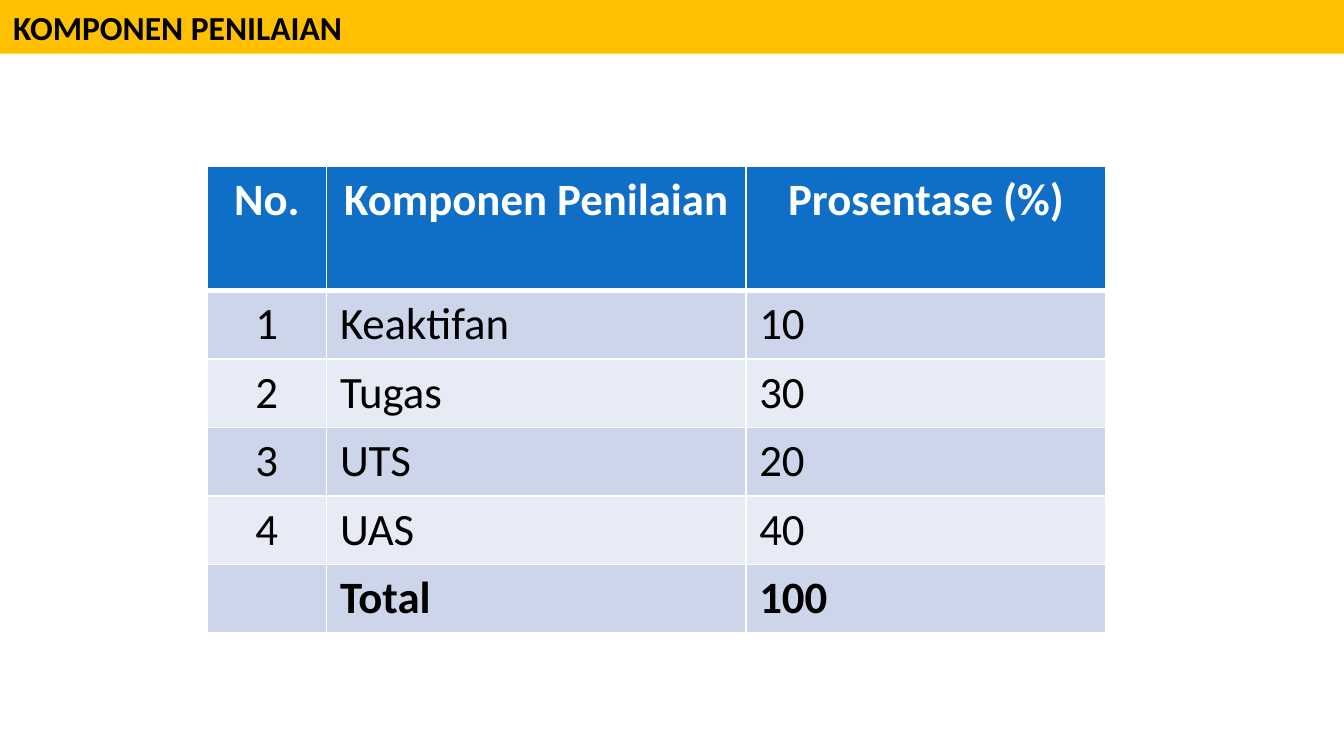
import pptx
import pptx.dml.color
import pptx.enum.shapes
import pptx.enum.text
import pptx.oxml
import pptx.oxml.ns
import pptx.util
from pptx.util import Inches

COLORS = {"bar": "FFC000", "header": "0F6FC6", "odd": "CCD5EA",
          "even": "E7EBF5", "dark": "000000", "light": "FFFFFF"}
ALIGN = pptx.enum.text.PP_ALIGN
SLIDE_WIDTH = 10
ROWS = [
    ("No.", "Komponen Penilaian", "Prosentase (%)"),
    ("1", "Keaktifan", "10"),
    ("2", "Tugas", "30"),
    ("3", "UTS", "20"),
    ("4", "UAS", "40"),
    ("", "Total", "100"),
]
COL_WIDTHS = [0.89, 3.12, 2.68]
ROW_HEIGHTS = [0.92] + [0.51] * 5


class Deck:
    font = "Calibri"

    def __init__(self, slide):
        self.s = slide

    def color(self, name):
        return pptx.dml.color.RGBColor.from_string(COLORS[name])

    def fill(self, target, name):
        target.fill.solid()
        target.fill.fore_color.rgb = self.color(name)

    def text(self, tf, text, color, align=ALIGN.LEFT, **fmt):
        p = tf.paragraphs[0]
        p.alignment = align
        r = p.add_run()
        r.text = text
        for key, value in {"name": self.font, **fmt}.items():
            setattr(r.font, key, value)
        r.font.color.rgb = self.color(color)

    def bar(self, text, x, y, w, h):
        sp = self.s.shapes.add_shape(
            pptx.enum.shapes.MSO_SHAPE.RECTANGLE,
            Inches(x), Inches(y), Inches(w), Inches(h))
        sp.shadow.inherit = False
        sp.line.fill.background()
        self.fill(sp, "bar")
        sp.text_frame.word_wrap = True
        sp.text_frame.vertical_anchor = pptx.enum.text.MSO_ANCHOR.MIDDLE
        self.text(sp.text_frame, text, "dark", size=pptx.util.Pt(18), bold=True)

    def borders(self, cell, **widths):
        """Draw white cell borders; must run before the fill, as the schema orders them."""
        tc_pr = cell._tc.get_or_add_tcPr()
        for side in "LRTB":
            width = pptx.util.Pt(widths.get(side, 1))
            tc_pr.append(pptx.oxml.parse_xml(
                f'<a:ln{side} {pptx.oxml.ns.nsdecls("a")} w="{width}"><a:solidFill>'
                f'<a:srgbClr val="{COLORS["light"]}"/></a:solidFill></a:ln{side}>'))

    def table(self, rows, x, y, col_widths, row_heights):
        table = self.s.shapes.add_table(
            len(rows), len(col_widths), Inches(x), Inches(y),
            Inches(sum(col_widths)), Inches(sum(row_heights))).table
        for col, width in zip(table.columns, col_widths):
            col.width = Inches(width)
        for i, (row, height) in enumerate(zip(rows, row_heights)):
            table.rows[i].height = Inches(height)
            header, total = i == 0, i == len(rows) - 1
            band = "header" if header else "odd" if i % 2 else "even"
            for j, text in enumerate(row):
                cell = table.cell(i, j)
                self.borders(cell, T=3 if i == 1 else 1, B=3 if header else 1)
                self.fill(cell, band)
                if text:
                    self.text(cell.text_frame, text, "light" if header else "dark",
                              ALIGN.CENTER if header or j == 0 else ALIGN.LEFT,
                              size=pptx.util.Pt(24), bold=header or total)


def main():
    prs = pptx.Presentation()
    prs.slide_width = Inches(SLIDE_WIDTH)
    prs.slide_height = Inches(SLIDE_WIDTH * 9 / 16)
    deck = Deck(prs.slides.add_slide(prs.slide_layouts[6]))
    deck.bar("KOMPONEN PENILAIAN", 0, 0, SLIDE_WIDTH, 0.4)
    deck.table(ROWS, 1.54, 1.24, COL_WIDTHS, ROW_HEIGHTS)
    prs.save("out.pptx")


if __name__ == "__main__":
    main()
